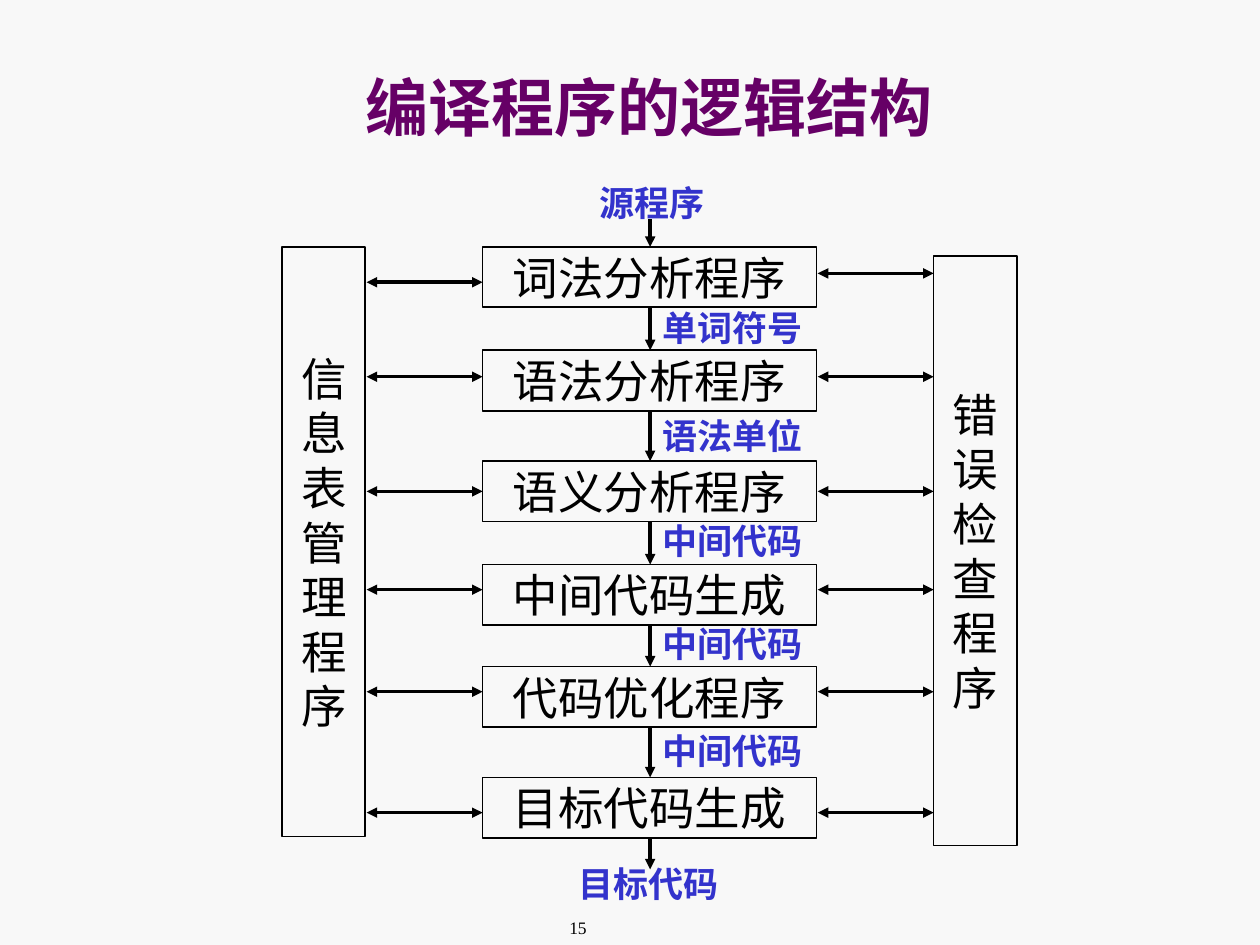
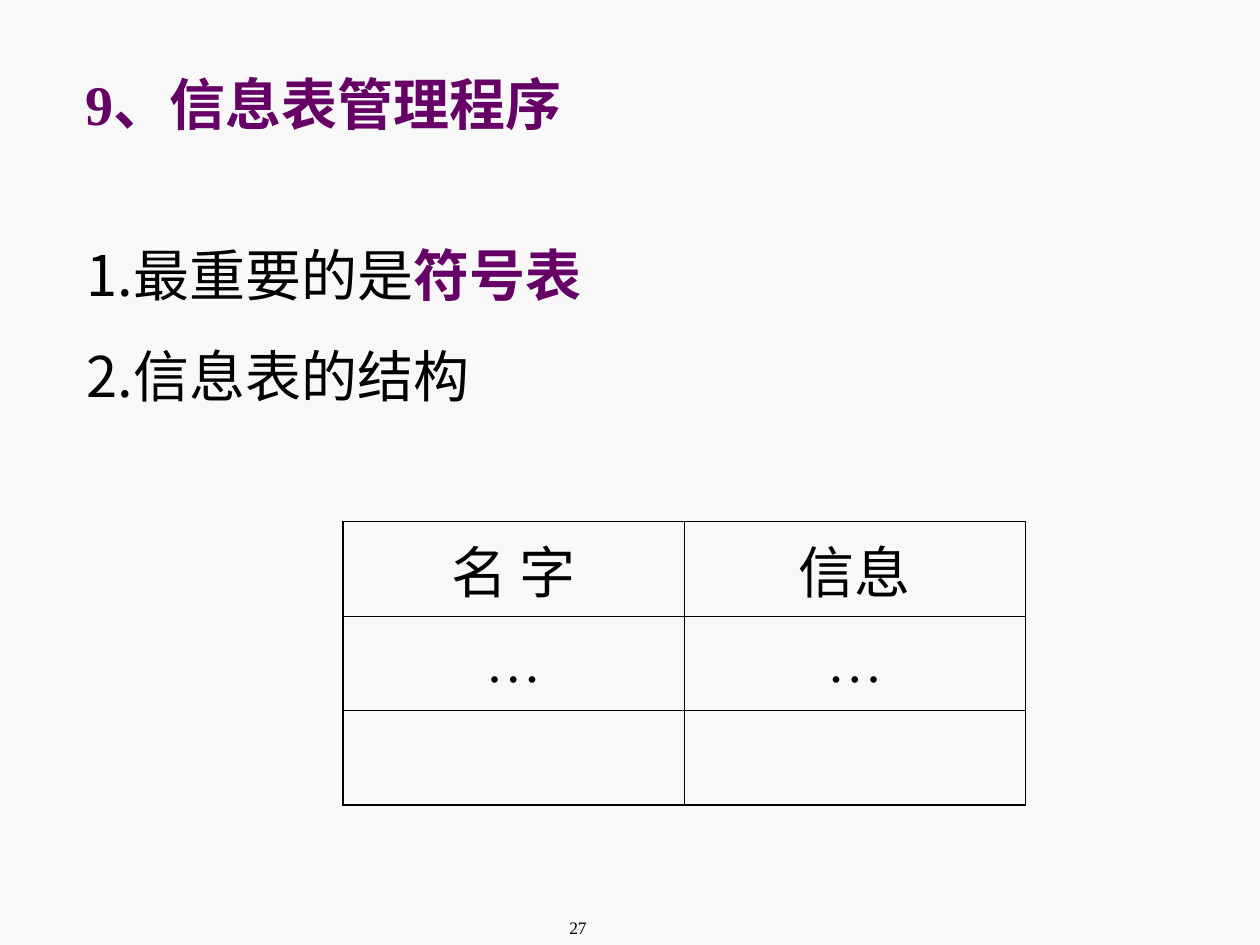
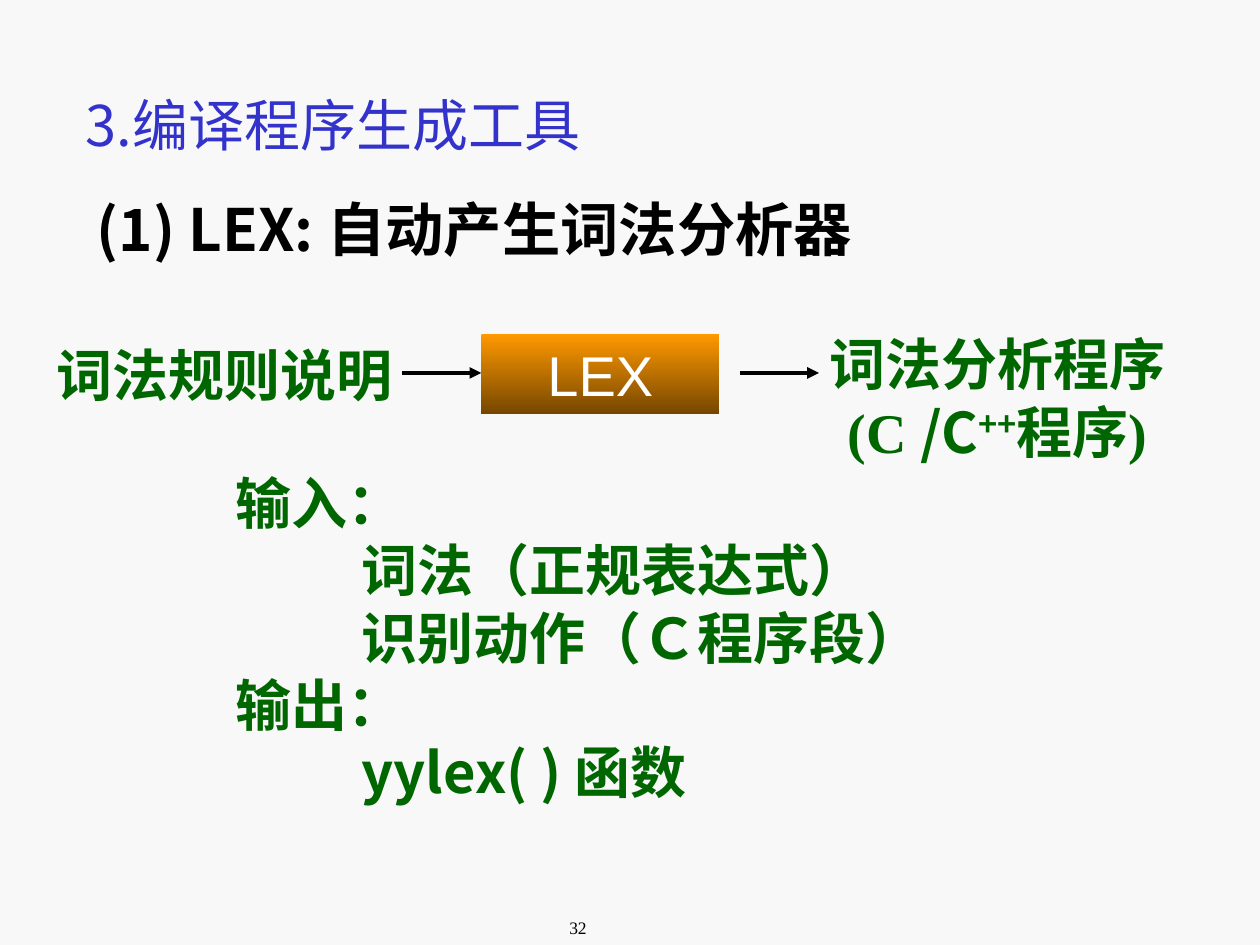
from lxml.etree import SubElement
from pptx import Presentation
from pptx.dml.color import RGBColor
from pptx.enum.shapes import MSO_CONNECTOR as Line, MSO_SHAPE as Shape
from pptx.enum.text import MSO_ANCHOR as Anchor, PP_ALIGN as Align
from pptx.oxml import parse_xml
from pptx.oxml.ns import nsdecls, qn
from pptx.util import Inches, Pt

BLACK, PAPER, WHITE = "000000", "F8F8F8", "FFFFFF"
PURPLE, BLUE, GREEN = "660066", "3333CC", "006600"
SERIF, SANS, PLAIN = "Times New Roman", "Noto Sans CJK SC", "Arial"

BASE = {"size": 32, "name": SERIF, "bold": False, "color": BLACK}
TITLE = {"color": PURPLE, "bold": True}
LABEL = {"size": 20, "color": BLUE, "bold": True}
PHASE = {"size": 26}
NOTE = {"color": GREEN, "bold": True}


def color(code):
    return RGBColor.from_string(code)


def style(run, form):
    form = BASE | form
    for key, value in form.items():
        if key == "color":
            run.font.color.rgb = color(value)
        elif key == "raise":
            run.font._element.set("baseline", str(value * 1000))
        else:
            setattr(run.font, key, Pt(value) if key == "size" else value)
    SubElement(run.font._element, qn("a:ea"), typeface=SANS)


def write(frame, paras, form, align=Align.LEFT, anchor=Anchor.TOP, wrap=True,
          space=0, lead=None):
    """Fill a frame; a paragraph is a string or a list of (text, format) runs."""
    frame.word_wrap, frame.vertical_anchor = wrap, anchor
    for i, para in enumerate(paras):
        line = frame.add_paragraph() if i else frame.paragraphs[0]
        line.alignment, line.line_spacing = align, lead
        if i and space:
            line.space_before = Pt(space)
        runs = [(para, {})] if isinstance(para, str) else para
        for words, extra in runs:
            run = line.add_run()
            run.text = words
            style(run, form | extra)


def text(slide, box, paras, form, **opts):
    area = slide.shapes.add_textbox(*map(Inches, box))
    write(area.text_frame, paras, form, **opts)
    return area.text_frame


def block(slide, box, paras, form, **opts):
    shape = slide.shapes.add_shape(Shape.RECTANGLE, *map(Inches, box))
    shape.shadow.inherit = False
    shape.fill.background()
    shape.line.color.rgb = color(BLACK)
    shape.line.width = Pt(1)
    write(shape.text_frame, paras, form, align=Align.CENTER, **opts)
    return shape


def arrow(slide, start, end, width=2, both=False):
    line = slide.shapes.add_connector(Line.STRAIGHT, *map(Inches, start + end))
    line.line.color.rgb = color(BLACK)
    line.line.width = Pt(width)
    for tag in ("headEnd", "tailEnd") if both else ("tailEnd",):
        SubElement(line.line._ln, qn("a:" + tag), type="triangle")
    SubElement(line._element.spPr, qn("a:effectLst"))


def page(deck, number):
    slide = deck.slides.add_slide(deck.slide_layouts[6])
    text(slide, (4.42, 7.23, 0.83, 0.27), [number], {"size": 10})
    return slide


def flow(slide, left, top):
    """Compiler phases between the two side programs."""
    names = ["词法分析程序", "语法分析程序", "语义分析程序",
             "中间代码生成", "代码优化程序", "目标代码生成"]
    tops = [0.57, 1.39, 2.27, 3.09, 3.9, 4.78]
    links = [0.85, 1.6, 2.51, 3.29, 4.1, 5.06]
    labels = [("源程序", 2.42, 0), ("单词符号", 2.92, 0.99),
              ("语法单位", 2.92, 1.85), ("中间代码", 2.92, 2.68),
              ("中间代码", 2.92, 3.5), ("中间代码", 2.92, 4.35),
              ("目标代码", 2.25, 5.41)]
    sides = [("信息表管理程序", 0, 0.57), ("错误检查程序", 5.17, 0.64)]
    tall, mid = 0.48, left + 2.92
    middle = {"anchor": Anchor.MIDDLE, "wrap": False}

    for name, y in zip(names, tops):
        block(slide, (left + 1.59, top + y, 2.65, tall), [name], PHASE, **middle)
    for name, x, y in sides:
        block(slide, (left + x, top + y, 0.66, 4.68), list(name), PHASE, **middle)
    for i, y in enumerate(links):
        for x, lift in ((0.67, 0), (4.25, 0 if i else 0.07)):
            level = top + y - lift
            arrow(slide, (left + x, level), (left + x + 0.92, level), both=True)
    starts = [0.35] + [y + tall for y in tops]
    for start, end in zip(starts, tops + [5.51]):
        arrow(slide, (mid, top + start), (mid, top + end))
    for name, x, y in labels:
        text(slide, (left + x, top + y, 1.92, 0.44), [name], LABEL)


def grid(slide, left, top, rows):
    """Ruled table with a heavier outer frame."""
    high, wide = len(rows), len(rows[0])
    table = slide.shapes.add_table(
        high, wide, *map(Inches, (left, top, 2.71 * wide, 0.75 * high))).table
    table.first_row = table.horz_banding = False
    for r, row in enumerate(rows):
        for c, words in enumerate(row):
            cell = table.cell(r, c)
            cell.fill.background()
            cell.vertical_anchor = Anchor.MIDDLE
            if words:
                write(cell.text_frame, [words], {}, align=Align.CENTER,
                      anchor=Anchor.MIDDLE)
            outer = {"L": c == 0, "R": c == wide - 1,
                     "T": r == 0, "B": r == high - 1}
            for i, (side, edge) in enumerate(outer.items()):
                width = Pt(1.08 if edge else 0.45)
                cell._tc.get_or_add_tcPr().insert(i, parse_xml(
                    f'<a:ln{side} {nsdecls("a")} w="{width}"><a:solidFill>'
                    f'<a:srgbClr val="{BLACK}"/></a:solidFill></a:ln{side}>'))


def tool(slide, left, top):
    """Rules go into the generator, a program comes out."""
    text(slide, (left, top + 0.08, 2.99, 0.63), ["词法规则说明"], NOTE)
    lex = block(slide, (left + 3.47, top + 0.08, 1.89, 0.64), ["LEX"],
                {"name": PLAIN, "color": WHITE})
    lex.line.fill.background()
    lex.fill.gradient()
    lex.fill.gradient_angle = 270
    for stop, code in zip(lex.fill.gradient_stops, ("FF9900", "754600")):
        stop.color.rgb = color(code)
    result = [("词法分析程序(C ", {}), ("/C", {"name": SANS}),
              ("++", {"name": SANS, "raise": 30}), ("程序)", {})]
    text(slide, (left + 6.07, top, 2.99, 1.17), [result], NOTE,
         align=Align.CENTER)
    for x in (left + 2.84, left + 5.52):
        arrow(slide, (x, top + 0.39), (x + 0.63, top + 0.39), 2.25)


def usage(slide, box):
    items = [("输入：", 0), ("词法（正规表达式）", 1),
             ("识别动作（Ｃ程序段）", 1), ("输出：", 0), ("yylex( ) 函数", 1)]
    frame = text(slide, box, [item for item, _ in items], NOTE | {"name": SANS})
    for line, (_, depth) in zip(frame.paragraphs, items):
        line._p.get_or_add_pPr().set("marL", str(Inches(depth)))


def main():
    deck = Presentation()
    deck.slide_width, deck.slide_height = Inches(10), Inches(7.5)
    back = deck.slide_master.background.fill
    back.solid()
    back.fore_color.rgb = color(PAPER)

    logic = page(deck, "15")
    text(logic, (0.9, 0.44, 8.5, 0.81), ["编译程序的逻辑结构"],
         TITLE | {"size": 36}, align=Align.CENTER, anchor=Anchor.MIDDLE)
    flow(logic, 2.24, 1.39)

    info = page(deck, "27")
    text(info, (0.58, 0.5, 8.67, 0.64), ["9、信息表管理程序"], TITLE)
    text(info, (0.59, 1.7, 8.5, 2),
         [[("1.最重要的是", {}), ("符号表", TITLE)], "2.信息表的结构"],
         {"name": SANS}, space=8, lead=1.3)
    grid(info, 2.72, 4.14, [("名 字", "信息"), ("…", "…"), ("", "")])

    maker = page(deck, "32")
    text(maker, (0.58, 0.67, 8.67, 0.64), ["3.编译程序生成工具"],
         {"name": SANS, "color": BLUE})
    text(maker, (0.67, 1.55, 8.11, 0.66), ["(1) LEX: 自动产生词法分析器"],
         {"name": SANS, "size": 33.3, "bold": True}, lead=0.9)
    tool(maker, 0.35, 2.57)
    usage(maker, (1.77, 3.67, 5.98, 2.77))

    deck.save("out.pptx")


if __name__ == "__main__":
    main()
